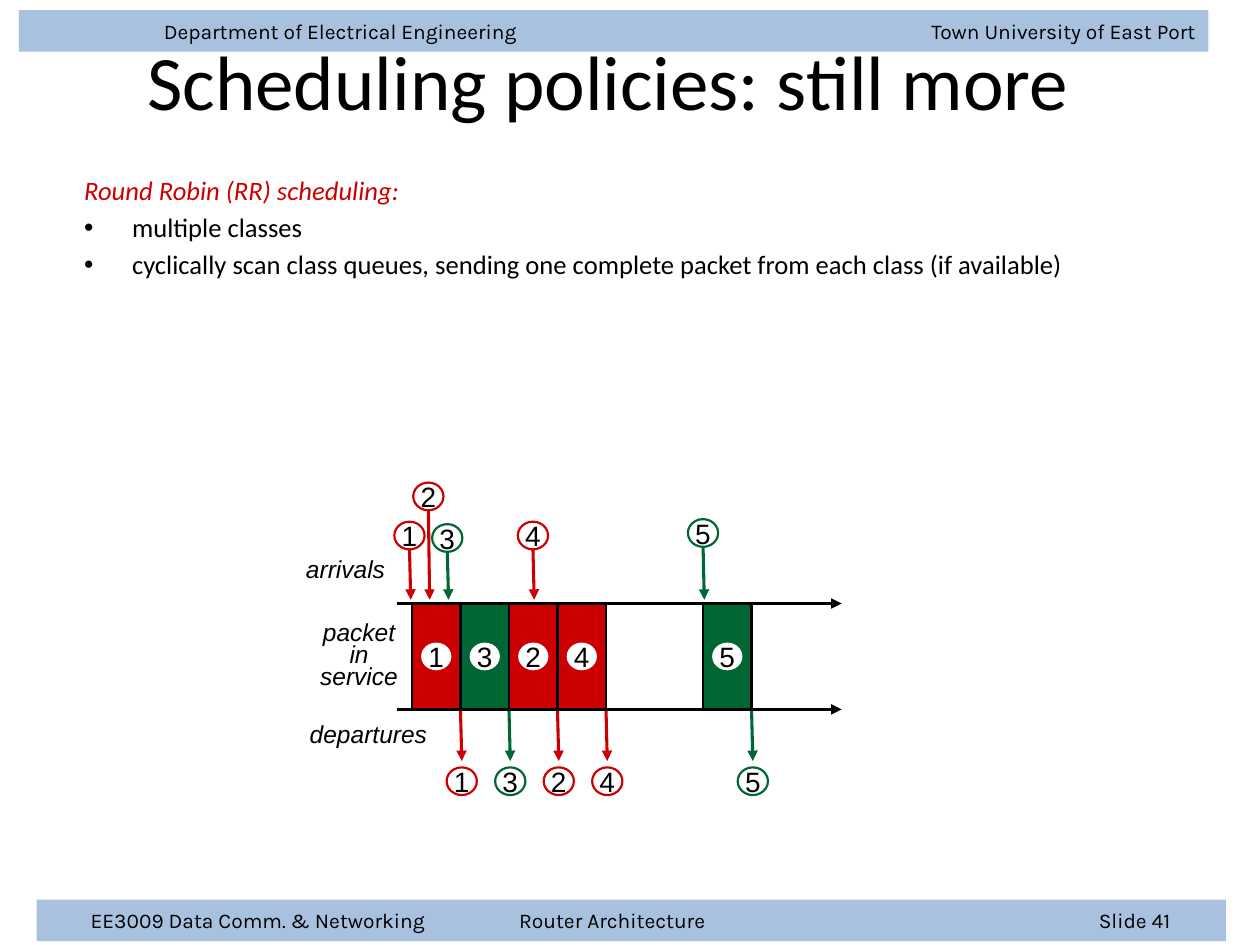
from lxml.etree import SubElement
from pptx import Presentation
from pptx.dml.color import RGBColor
from pptx.enum.shapes import MSO_CONNECTOR, MSO_SHAPE
from pptx.enum.text import MSO_ANCHOR, PP_ALIGN
from pptx.oxml.ns import qn
from pptx.util import Inches, Pt

RED, GREEN, BLACK, WHITE, BLUE = "CC0000", "006633", "000000", "FFFFFF", "4F81BD"
CLASS_COLOURS = {1: RED, 2: RED, 3: GREEN, 4: RED, 5: GREEN}

BARS = [
    (0.15, 0.08, 1.15, "Department of Electrical Engineering\tTown University of East Port",
     [(8.19, "r")]),
    (0.29, 7.14, 0.43, "EE3009 Data Comm. & Networking\tRouter Architecture\tSlide 41",
     [(3.4, "l"), (8.57, "r")]),
]
TITLE = "Scheduling policies: still more"
POLICY = "Round Robin (RR) scheduling:"
POLICY_POINTS = [
    "multiple classes",
    "cyclically scan class queues, sending one complete packet from each class (if available)",
]
ARRIVALS = [(1, 3.25, 4.14), (2, 3.4, 3.83), (3, 3.55, 4.16), (4, 4.23, 4.14), (5, 5.58, 4.12)]
SERVICE_SLOTS = [(1, 0), (3, 1), (2, 2), (4, 3), (5, 6)]
ROW_LABELS = [
    ("arrivals", (2.33, 4.35, 0.88, 0.34), False),
    ("departures", (2.36, 5.66, 1.19, 0.34), False),
    ("packet in service", (2.38, 4.9, 0.94, 0.65), True),
]

SERVICE_TOP, SERVICE_BOTTOM = 4.79, 5.63
AXIS_START, AXIS_END = 3.15, 6.68
FIRST_SLOT, SLOT_WIDTH = 3.27, 0.385
CIRCLE_WIDTH, CIRCLE_HEIGHT = 0.24, 0.22
SLANT = 0.01

NO_MARGINS = {"margin_left": 0, "margin_right": 0, "margin_top": 0, "margin_bottom": 0}


def rgb(colour):
    return RGBColor.from_string(colour)


def apply(target, values):
    for name, value in values.items():
        setattr(target, name, value)


def add_text(paragraph, text, colour, **font_format):
    run = paragraph.add_run()
    run.text = text
    apply(run.font, font_format)
    run.font.color.rgb = rgb(colour)


def add_box(slide, place, **frame_format):
    frame = slide.shapes.add_textbox(*map(Inches, place)).text_frame
    apply(frame, {"word_wrap": True, **frame_format})
    return frame


def add_shape(slide, kind, place, fill, line=None):
    shape = slide.shapes.add_shape(kind, *map(Inches, place))
    shape.shadow.inherit = False
    shape.fill.solid()
    shape.fill.fore_color.rgb = rgb(fill)
    if line:
        shape.line.color.rgb = rgb(line)
        shape.line.width = Pt(1.25)
    else:
        shape.line.fill.background()
    return shape


def add_arrow(slide, start, end, colour, width):
    arrow = slide.shapes.add_connector(MSO_CONNECTOR.STRAIGHT, *map(Inches, start + end))
    arrow.line.color.rgb = rgb(colour)
    arrow.line.width = Pt(width)
    SubElement(arrow.line._get_or_add_ln(), qn("a:tailEnd"), type="triangle")
    SubElement(arrow._element.spPr, qn("a:effectLst"))


def add_packet_circle(slide, packet, centre, top, line=None):
    place = (centre - CIRCLE_WIDTH / 2, top, CIRCLE_WIDTH, CIRCLE_HEIGHT)
    frame = add_shape(slide, MSO_SHAPE.OVAL, place, WHITE, line).text_frame
    apply(frame, {"word_wrap": False, "vertical_anchor": MSO_ANCHOR.MIDDLE, **NO_MARGINS})
    number = frame.paragraphs[0]
    number.alignment = PP_ALIGN.CENTER
    add_text(number, str(packet), BLACK, name="Arial", size=Pt(16))


def add_bar(slide, left, top, text_start, text, tab_stops):
    bar = add_shape(slide, MSO_SHAPE.RECTANGLE, (left, top, 9.44, 0.33), BLUE)
    colour = bar._element.spPr.find(qn("a:solidFill"))[0]
    SubElement(colour, qn("a:alpha"), val="49000")
    apply(bar.text_frame, {"margin_left": Inches(text_start), "margin_right": Inches(0.05),
                           "vertical_anchor": MSO_ANCHOR.MIDDLE})
    paragraph = bar.text_frame.paragraphs[0]
    paragraph.alignment = PP_ALIGN.LEFT
    tabs = SubElement(paragraph._p.get_or_add_pPr(), qn("a:tabLst"))
    for position, side in tab_stops:
        SubElement(tabs, qn("a:tab"), pos=str(Inches(position)), algn=side)
    add_text(paragraph, text, BLACK, name="Karla", size=Pt(12))


def add_policy(slide):
    title = add_box(slide, (0.58, 0.01, 8.5, 1.25), vertical_anchor=MSO_ANCHOR.MIDDLE)
    title.paragraphs[0].alignment = PP_ALIGN.CENTER
    add_text(title.paragraphs[0], TITLE, BLACK, name="Calibri", size=Pt(44))

    body = add_box(slide, (0.57, 1.33, 8.5, 0.83))
    heading = body.paragraphs[0]
    heading.space_before = Pt(3)
    add_text(heading, POLICY, RED, name="Calibri", size=Pt(15.2), italic=True)
    for point in POLICY_POINTS:
        paragraph = body.add_paragraph()
        paragraph.space_before = Pt(3)
        properties = paragraph._p.get_or_add_pPr()
        properties.set("marL", str(Inches(0.38)))
        properties.set("indent", str(-Inches(0.38)))
        SubElement(properties, qn("a:buFont"), typeface="Arial")
        SubElement(properties, qn("a:buChar"), char="•")
        add_text(paragraph, point, BLACK, name="Calibri", size=Pt(15.2))


def add_timeline(slide):
    for axis in (SERVICE_TOP, SERVICE_BOTTOM):
        add_arrow(slide, (AXIS_START, axis), (AXIS_END, axis), BLACK, 2)

    for packet, slot in SERVICE_SLOTS:
        colour = CLASS_COLOURS[packet]
        left = FIRST_SLOT + slot * SLOT_WIDTH
        finish = left + SLOT_WIDTH
        place = (left, SERVICE_TOP, SLOT_WIDTH, SERVICE_BOTTOM - SERVICE_TOP)
        add_shape(slide, MSO_SHAPE.RECTANGLE, place, colour, BLACK)
        add_packet_circle(slide, packet, left + SLOT_WIDTH / 2, 5.1)
        add_arrow(slide, (finish, 5.64), (finish + SLANT, 6.04), colour, 1.75)
        add_packet_circle(slide, packet, finish + SLANT, 6.09, colour)

    for packet, centre, top in ARRIVALS:
        colour = CLASS_COLOURS[packet]
        add_arrow(slide, (centre, top + CIRCLE_HEIGHT), (centre + SLANT, 4.76), colour, 1.75)
        add_packet_circle(slide, packet, centre, top, colour)

    for label, place, wraps in ROW_LABELS:
        paragraph = add_box(slide, place, word_wrap=wraps).paragraphs[0]
        if wraps:
            apply(paragraph, {"alignment": PP_ALIGN.CENTER, "line_spacing": Pt(12.8)})
        add_text(paragraph, label, BLACK, name="Arial", size=Pt(14), italic=True)


def main():
    """Build the round robin scheduling slide."""
    deck = Presentation()
    apply(deck, {"slide_width": Inches(10), "slide_height": Inches(7.5)})
    slide = deck.slides.add_slide(deck.slide_layouts[6])
    for bar in BARS:
        add_bar(slide, *bar)
    add_policy(slide)
    add_timeline(slide)
    deck.save("out.pptx")


if __name__ == "__main__":
    main()
